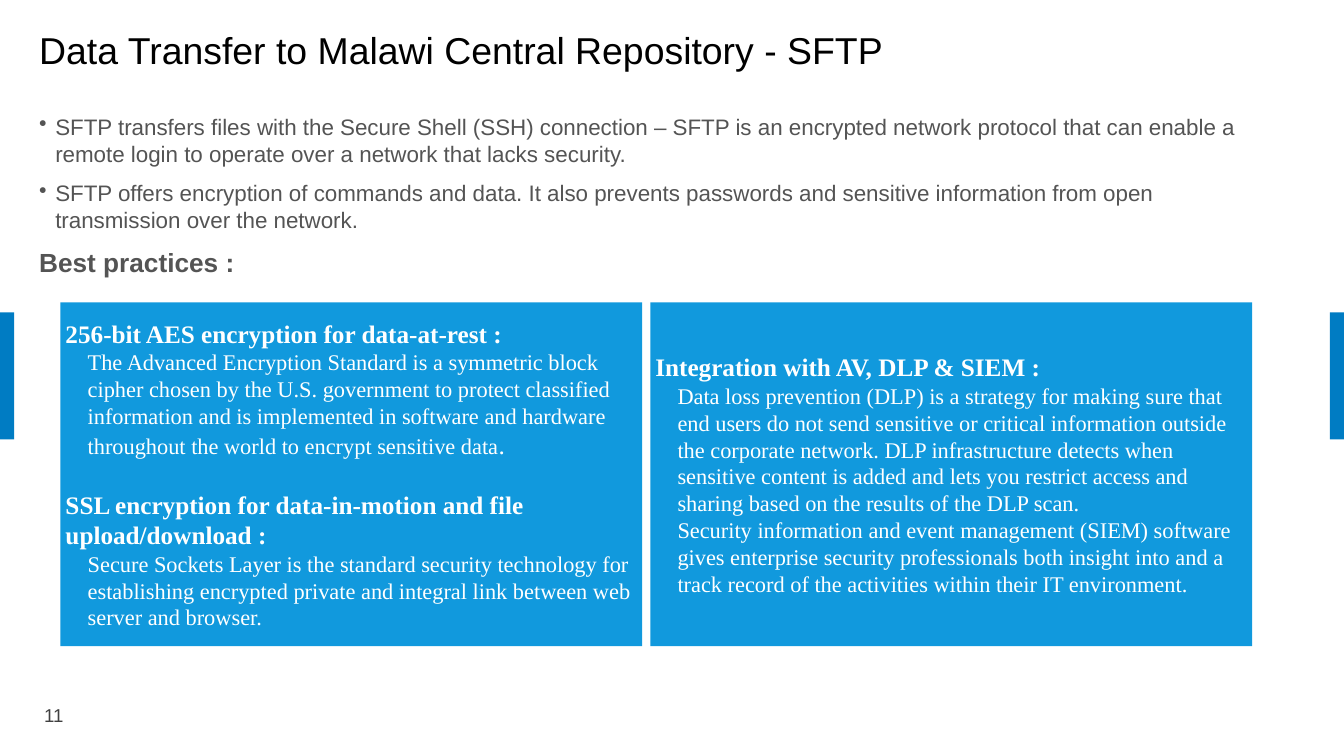
from lxml.etree import SubElement
from pptx import Presentation
from pptx.dml.color import RGBColor
from pptx.enum.shapes import MSO_SHAPE
from pptx.enum.text import MSO_ANCHOR, PP_ALIGN
from pptx.oxml.ns import qn
from pptx.util import Inches, Pt

COLORS = {"bar": "007CC3", "panel": "1199DD", "title": "000000",
          "body": "545454", "number": "404040", "white": "FFFFFF"}

STYLES = {
    "title": dict(size=26.7, name="Arial", color="title"),
    "bullet": dict(size=16, name="Arial", color="body", before=9.3, margin=0.16, bullet="•"),
    "lead": dict(size=18.7, name="Arial", color="body", bold=True, before=9.3),
    "number": dict(size=13.3, name="Arial", color="number"),
    "head": dict(size=18, name="Times New Roman", color="white", bold=True),
    "next_head": dict(size=18, name="Times New Roman", color="white", bold=True, before=21.5),
    "detail": dict(size=16, name="Times New Roman", color="white", margin=0.22),
}

TEXTS = [
    ((0.29, 0.22, 12.72, 0.66), [("title", "Data Transfer to Malawi Central Repository - SFTP")]),
    ((0.29, 1.07, 12.2, 5.34), [
        ("bullet", "SFTP transfers files with the Secure Shell (SSH) connection – SFTP is an encrypted "
                   "network protocol that can enable a remote login to operate over a network that lacks security."),
        ("bullet", "SFTP offers encryption of commands and data. It also prevents passwords and sensitive "
                   "information from open transmission over the network."),
        ("lead", "Best practices :"),
    ]),
    ((0.34, 6.93, 0.68, 0.41), [("number", "11")]),
]

PANELS = [
    (5.77, [
        ("head", "256-bit AES encryption for data-at-rest :"),
        ("detail", "The Advanced Encryption Standard is a symmetric block cipher chosen by the U.S. government "
                   "to protect classified information and is implemented in software and hardware throughout "
                   "the world to encrypt sensitive data", (".", 18)),
        ("next_head", "SSL encryption for data-in-motion and file upload/download :"),
        ("detail", "Secure Sockets Layer is the standard security technology for establishing encrypted "
                   "private and integral link between web server and browser."),
    ]),
    (5.97, [
        ("head", "Integration with AV, DLP & SIEM :"),
        ("detail", "Data loss prevention (DLP) is a strategy for making sure that end users do not send "
                   "sensitive or critical information outside the corporate network. DLP infrastructure detects "
                   "when sensitive content is added and lets you restrict access and sharing based on the "
                   "results of the DLP scan."),
        ("detail", "Security information and event management (SIEM) software gives enterprise security "
                   "professionals both insight into and a track record of the activities within their IT "
                   "environment."),
    ]),
]

SLIDE_W, SLIDE_H = 13.33, 7.5
BAR_W, BAR_TOP, BAR_H = 0.14, 3.1, 1.26
PANEL_LEFT, PANEL_TOP, PANEL_H, PANEL_GAP = 0.6, 3, 3.41, 0.08


def add_rect(s, box, color):
    sp = s.shapes.add_shape(MSO_SHAPE.RECTANGLE, *map(Inches, box))
    sp.shadow.inherit = False
    sp.fill.solid()
    sp.fill.fore_color.rgb = RGBColor.from_string(COLORS[color])
    sp.line.fill.background()
    return sp


def add_run(p, text, style, size):
    r = p.add_run()
    r.text = text
    values = dict(name=style["name"], size=Pt(size), bold=style.get("bold", False))
    for key, value in values.items():
        setattr(r.font, key, value)
    r.font.color.rgb = RGBColor.from_string(COLORS[style["color"]])


def write(sp, paragraphs, anchor, inset):
    tf = sp.text_frame
    values = dict(word_wrap=True, vertical_anchor=anchor,
                  margin_left=Inches(inset), margin_right=Inches(inset),
                  margin_top=Inches(0.05), margin_bottom=Inches(0.05))
    for key, value in values.items():
        setattr(tf, key, value)
    for i, (kind, text, *tail) in enumerate(paragraphs):
        style = STYLES[kind]
        p = tf.add_paragraph() if i else tf.paragraphs[0]
        p.alignment = PP_ALIGN.LEFT
        if "before" in style:
            p.space_before = Pt(style["before"])
        pPr = p._p.get_or_add_pPr()
        margin = Inches(style.get("margin", 0))
        pPr.set("marL", str(margin))
        if "bullet" in style:
            pPr.set("indent", str(-margin))
            SubElement(pPr, qn("a:buChar")).set("char", style["bullet"])
        add_run(p, text, style, style["size"])
        for extra, size in tail:
            add_run(p, extra, style, size)


def main():
    prs = Presentation()
    prs.slide_width, prs.slide_height = Inches(SLIDE_W), Inches(SLIDE_H)
    s = prs.slides.add_slide(prs.slide_layouts[6])
    for left in (SLIDE_W - BAR_W, 0):
        add_rect(s, (left, BAR_TOP, BAR_W, BAR_H), "bar")
    for box, paragraphs in TEXTS:
        write(s.shapes.add_textbox(*map(Inches, box)), paragraphs, MSO_ANCHOR.TOP, 0.1)
    left = PANEL_LEFT
    for width, paragraphs in PANELS:
        panel = add_rect(s, (left, PANEL_TOP, width, PANEL_H), "panel")
        write(panel, paragraphs, MSO_ANCHOR.MIDDLE, 0.05)
        left += width + PANEL_GAP
    prs.save("out.pptx")


if __name__ == "__main__":
    main()
